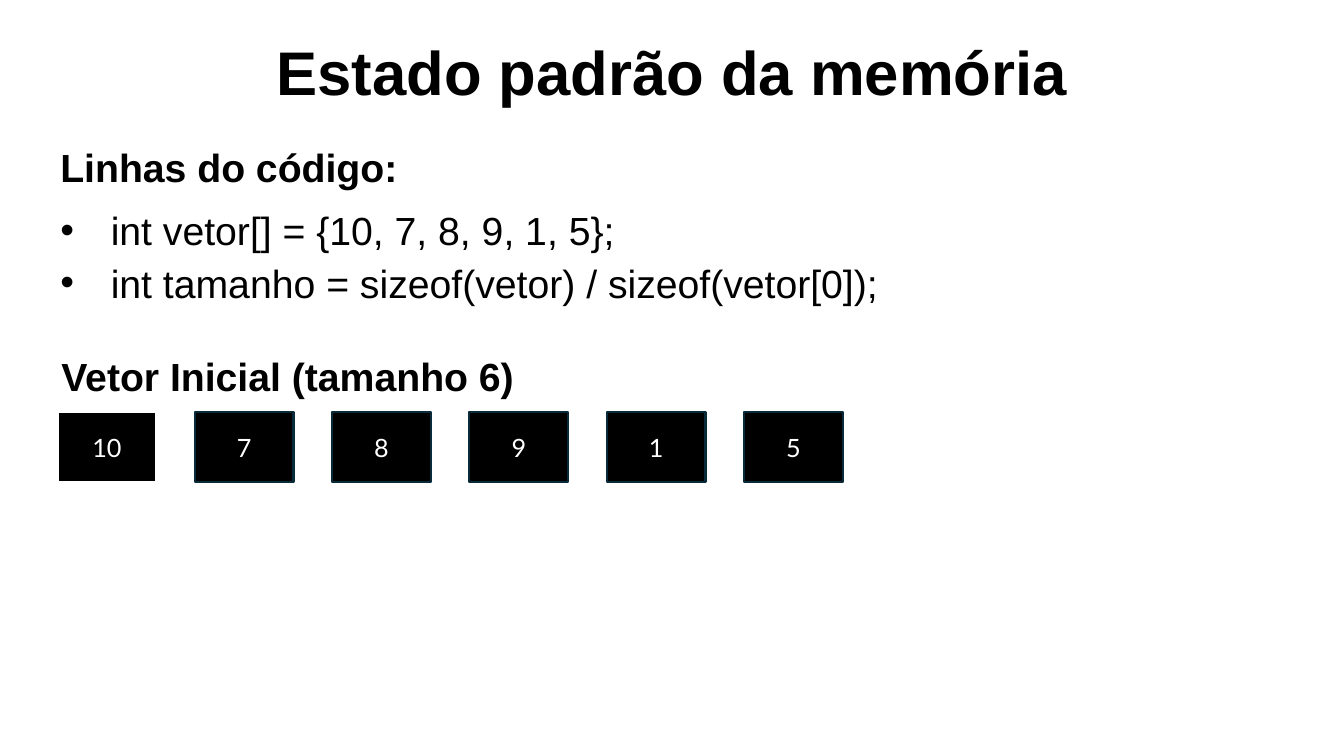
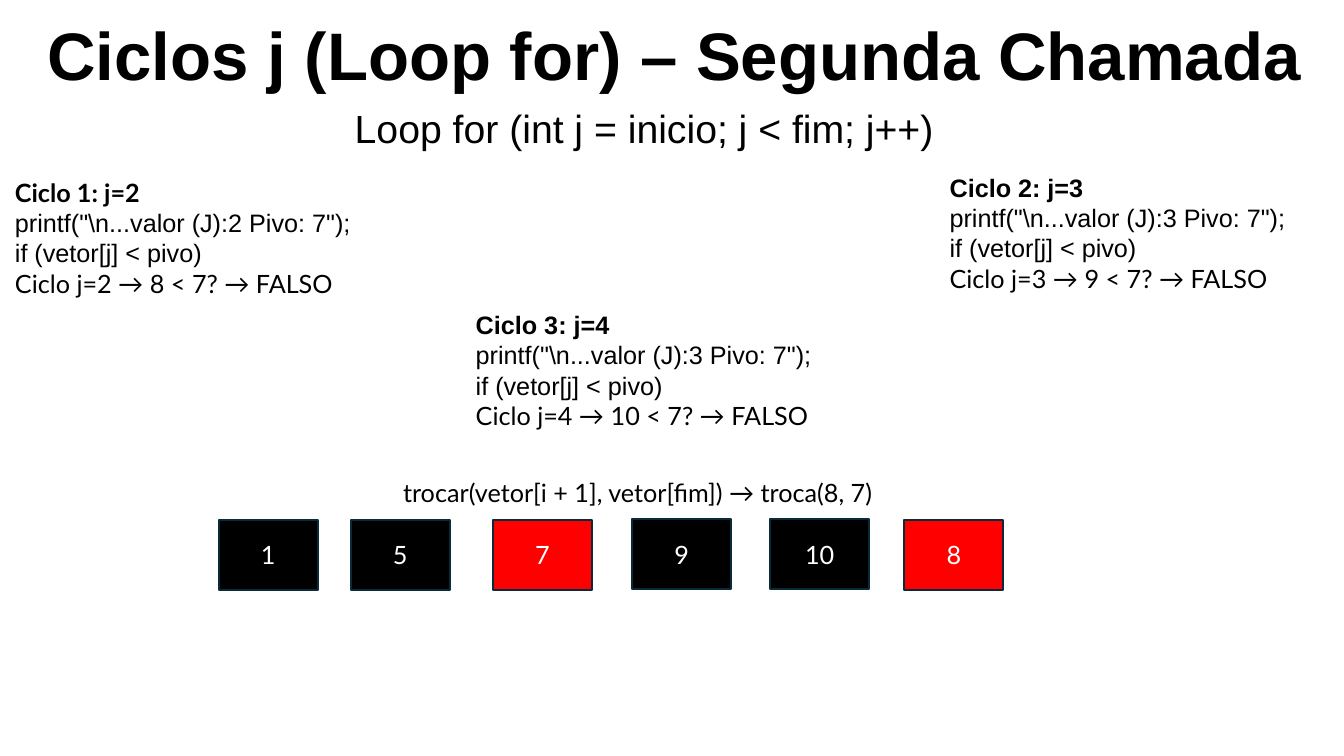
import pptx
import pptx.util
import pptx.dml.color
import pptx.enum.shapes
import pptx.enum.text
import lxml.etree
from pptx.util import Inches

BLACK, WHITE, RED, NAVY = "000000", "FFFFFF", "FF0000", "092A39"
HEADING_FONT, VALUE_FONT = "Arial", "Lato"
CENTER = pptx.enum.text.PP_ALIGN.CENTER
LEFT = pptx.enum.text.PP_ALIGN.LEFT
MIDDLE = pptx.enum.text.MSO_ANCHOR.MIDDLE
TOP = pptx.enum.text.MSO_ANCHOR.TOP


def rgb(value):
    return pptx.dml.color.RGBColor.from_string(value)


def write(frame, text, size=18, font=HEADING_FONT, color=BLACK, bold=False,
          align=LEFT, anchor=TOP, before=0, bullet=False):
    frame.word_wrap = True
    frame.auto_size = pptx.enum.text.MSO_AUTO_SIZE.NONE
    frame.vertical_anchor = anchor
    paragraph = frame.add_paragraph() if frame.text else frame.paragraphs[0]
    paragraph.alignment = align
    paragraph.space_before = pptx.util.Pt(before)
    run = paragraph.add_run()
    run.text = text
    run.font.size = pptx.util.Pt(size)
    run.font.name = font
    run.font.bold = bold
    run.font.color.rgb = rgb(color)
    if bullet:
        properties = paragraph._p.get_or_add_pPr()
        properties.set("marL", str(Inches(0.5)))
        properties.set("indent", str(-Inches(0.5)))
        namespace = properties.nsmap["a"]
        lxml.etree.SubElement(properties, f"{{{namespace}}}buFont", typeface="Arial")
        lxml.etree.SubElement(properties, f"{{{namespace}}}buChar", char="•")


heading = dict(size=28, bold=True)
code = dict(size=28, bullet=True)

memory_texts = [
    (0.5, 1.37, 10.71, 0.57, [("Linhas do código:", heading)]),
    (0.5, 2, 12.52, 1.07, [
        ("int vetor[] = {10, 7, 8, 9, 1, 5};", code),
        ("int tamanho = sizeof(vetor) / sizeof(vetor[0]);", dict(code, before=3.8)),
    ]),
    (0.51, 3.45, 10.53, 0.57, [("Vetor Inicial (tamanho 6)", heading)]),
]
memory_cells = [
    (0.57 + 1.362 * index, 4.09, value, BLACK, NAVY if index else WHITE)
    for index, value in enumerate([10, 7, 8, 9, 1, 5])
]

loop_texts = [
    (3.42, 0.99, 6.66, 0.57, [("Loop for (int j = inicio; j < fim; j++)", dict(size=28))]),
    (3.9, 4.69, 6.66, 0.4, [
        ("trocar(vetor[i + 1], vetor[fim]) → troca(8, 7)", dict(font=VALUE_FONT)),
    ]),
]
cycles = [
    (0.05, 1.71, 2, 2, 8, VALUE_FONT),
    (9.32, 1.66, 3, 3, 9, HEADING_FONT),
    (4.62, 3.02, 4, 3, 10, HEADING_FONT),
]
for number, (left, top, j, printed, value, font) in enumerate(cycles, 1):
    loop_texts.append((left, top, 4, 1.32, [
        (f"Ciclo {number}: j={j}", dict(font=font, bold=True)),
        (f'printf("\\n...valor (J):{printed} Pivo: 7");', {}),
        ("if (vetor[j] < pivo)", {}),
        (f"Ciclo j={j} → {value} < 7? → FALSO", dict(font=VALUE_FONT)),
    ]))
loop_cells = [
    (2.17, 5.16, 1, BLACK, NAVY),
    (3.48, 5.16, 5, BLACK, NAVY),
    (4.89, 5.16, 7, RED, NAVY),
    (6.27, 5.15, 9, BLACK, NAVY),
    (7.64, 5.15, 10, BLACK, NAVY),
    (8.97, 5.16, 8, RED, NAVY),
]

pages = [
    ("Estado padrão da memória", (2.47, 0.29, 8.4, 0.84),
     dict(size=44, align=CENTER), memory_texts, memory_cells),
    ("Ciclos j (Loop for) – Segunda Chamada", (0.37, 0.08, 12.9, 0.91),
     dict(size=48), loop_texts, loop_cells),
]

deck = pptx.Presentation()
deck.slide_width = Inches(13.33)
deck.slide_height = Inches(7.5)

for title_text, title_box, title_format, texts, cells in pages:
    slide = deck.slides.add_slide(deck.slide_layouts[5])
    title = slide.shapes.title
    title.left, title.top, title.width, title.height = map(Inches, title_box)
    write(title.text_frame, title_text, bold=True, **title_format)

    for left, top, width, height, lines in texts:
        passage = slide.shapes.add_textbox(*map(Inches, (left, top, width, height)))
        for line, line_format in lines:
            write(passage.text_frame, line, **line_format)

    for left, top, value, fill, border in cells:
        cell = slide.shapes.add_shape(
            pptx.enum.shapes.MSO_SHAPE.RECTANGLE,
            Inches(left), Inches(top), Inches(0.98), Inches(0.69))
        cell.shadow.inherit = False
        cell.fill.solid()
        cell.fill.fore_color.rgb = rgb(fill)
        cell.line.color.rgb = rgb(border)
        cell.line.width = pptx.util.Pt(1.5)
        write(cell.text_frame, str(value), font=VALUE_FONT, color=WHITE,
              align=CENTER, anchor=MIDDLE)

deck.save("out.pptx")
